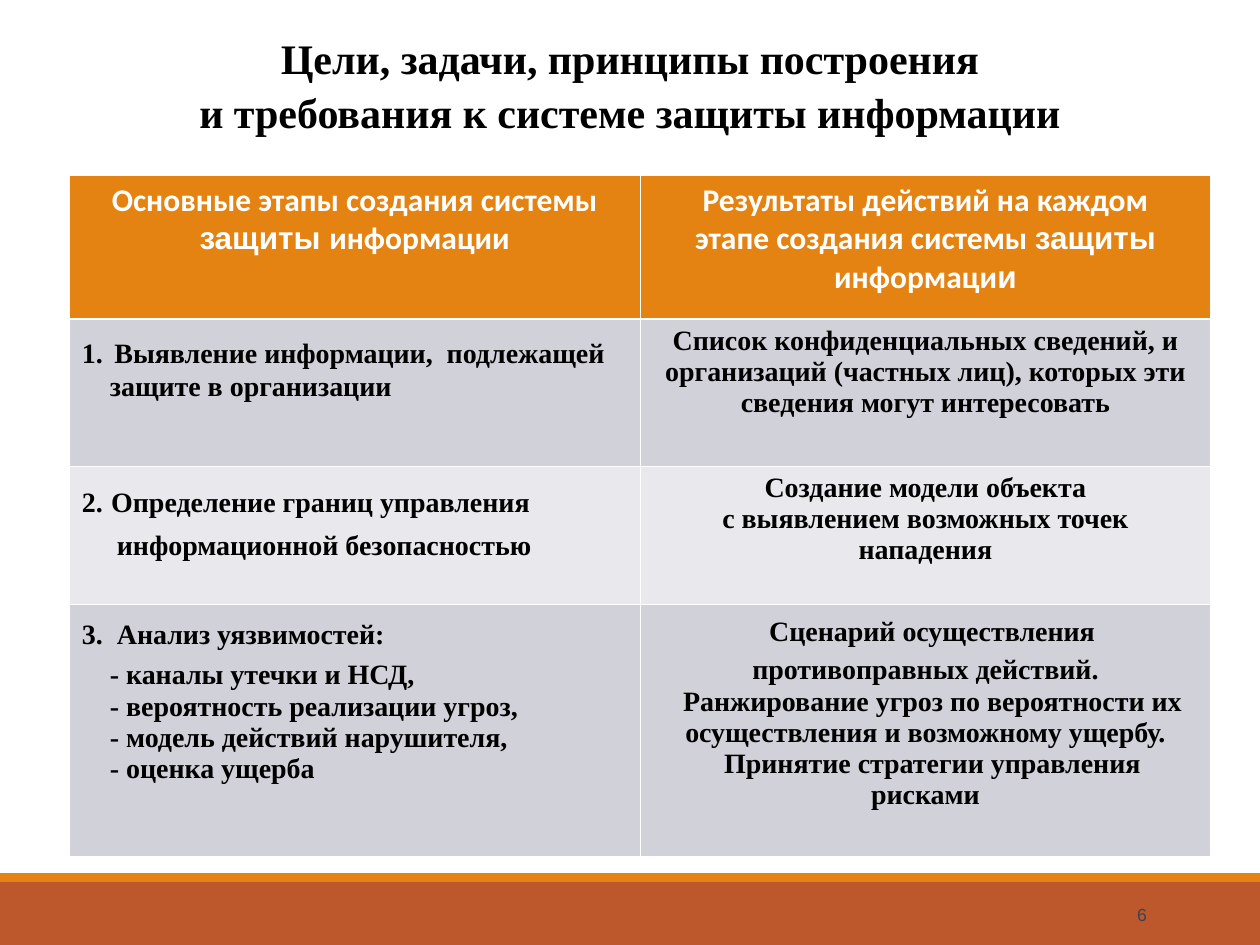
"""Build the slide on the stages of creating an information security system."""
from lxml.etree import SubElement
from pptx import Presentation
from pptx.dml.color import RGBColor
from pptx.enum.shapes import MSO_SHAPE
from pptx.enum.text import MSO_ANCHOR, PP_ALIGN
from pptx.oxml.ns import qn
from pptx.util import Inches, Pt

WIDTH, HEIGHT = Inches(10), Inches(7.5)

ORANGE = RGBColor(0xE4, 0x83, 0x12)
RUST = RGBColor(0xBD, 0x58, 0x2C)
GREY = RGBColor(0xD1, 0xD1, 0xDA)
PALE = RGBColor(0xE9, 0xE9, 0xED)
SLATE = RGBColor(0x3F, 0x40, 0x52)
WHITE = RGBColor(0xFF, 0xFF, 0xFF)
BLACK = RGBColor(0, 0, 0)

TITLE = dict(name="Times New Roman", size=Pt(24), bold=True, color=BLACK)
HEAD = dict(name="Calibri", size=Pt(18), bold=True, color=WHITE)
HEAD_ALT = HEAD | dict(name="Arial")
BODY = TITLE | dict(size=Pt(16))
NUMBER = dict(name="Arial", size=Pt(10), bold=False, color=SLATE)
GAP_ARIAL = TITLE | dict(name="Arial", bold=False)
GAP_24 = GAP_ARIAL | dict(name="Vollkorn")
GAP_20 = GAP_24 | dict(size=Pt(20))
GAP_18 = GAP_24 | dict(size=Pt(18))

CENTER = dict(alignment=PP_ALIGN.CENTER)
LEFT = dict(alignment=PP_ALIGN.LEFT)
RIGHT = dict(alignment=PP_ALIGN.RIGHT)

ROW_SHARES = (15.2, 15.6, 14.67, 26.67)
ROW_FILLS = (ORANGE, GREY, PALE, GREY)


def across(percent):
    return round(WIDTH * percent / 100)


def down(percent):
    return round(HEIGHT * percent / 100)


def place(left, top, width, height):
    return across(left), down(top), across(width), down(height)


def line(layout, *runs, indent=0, first=0):
    """Describe a paragraph: layout, indents in points, and (text, format) runs."""
    return layout, Pt(indent), Pt(first), runs


def write(frame, lines):
    for index, (layout, indent, first, runs) in enumerate(lines):
        paragraph = frame.paragraphs[0] if index == 0 else frame.add_paragraph()
        for attribute, value in layout.items():
            setattr(paragraph, attribute, value)
        properties = paragraph._p.get_or_add_pPr()
        properties.set("marL", str(indent))
        properties.set("indent", str(first))
        for text, style in runs:
            run = paragraph.add_run()
            run.text = text
            for attribute, value in style.items():
                if attribute == "color":
                    run.font.color.rgb = value
                else:
                    setattr(run.font, attribute, value)


def add_band(slide, box, color):
    band = slide.shapes.add_shape(MSO_SHAPE.RECTANGLE, *box)
    band.shadow.inherit = False
    band.fill.solid()
    band.fill.fore_color.rgb = color
    band.line.fill.background()


def add_text(slide, box, lines, **settings):
    frame = slide.shapes.add_textbox(*box).text_frame
    for attribute, value in (dict(word_wrap=True) | settings).items():
        setattr(frame, attribute, value)
    write(frame, lines)


def add_borders(cell, widths):
    properties = cell._tc.get_or_add_tcPr()
    for position, (side, width) in enumerate(widths.items()):
        border = SubElement(properties, qn(f"a:ln{side}"), w=str(Pt(width)))
        fill = SubElement(border, qn("a:solidFill"))
        SubElement(fill, qn("a:srgbClr"), val=str(WHITE))
        properties.insert(position, border)


def add_stages(slide, rows):
    box = place(5.5, 18.53, 90.6, sum(ROW_SHARES))
    table = slide.shapes.add_table(len(rows), 2, *box).table
    for index, (cells, share, color) in enumerate(zip(rows, ROW_SHARES, ROW_FILLS)):
        table.rows[index].height = down(share)
        widths = dict(L=0.45, R=0.45, T=1.47 if index == 1 else 0.45,
                      B=1.47 if index == 0 else 0.45)
        for cell, lines in zip(table.rows[index].cells, cells):
            cell.fill.solid()
            cell.fill.fore_color.rgb = color
            add_borders(cell, widths)
            write(cell.text_frame, lines)


def stage_rows():
    weaknesses = ("- каналы утечки и НСД,", "- вероятность реализации угроз,",
                  "- модель действий нарушителя,", "- оценка ущерба")
    return [
        ([line(CENTER, ("Основные этапы создания системы ", HEAD),
               ("защиты ", HEAD_ALT), ("информации", HEAD))],
         [line(CENTER, ("Результаты действий на каждом", HEAD)),
          line(CENTER, ("этапе создания системы ", HEAD), ("защиты ", HEAD_ALT),
               ("информаци", HEAD), ("и", HEAD_ALT))]),
        ([line(LEFT, ("1.", BODY), (" ", GAP_ARIAL),
               ("Выявление информации,  подлежащей", BODY)),
          line(LEFT, ("защите в организации", BODY), indent=16)],
         [line(CENTER, ("Список конфиденциальных сведений, и организаций "
                        "(частных лиц), которых эти сведения могут "
                        "интересовать", BODY))]),
        ([line(LEFT, ("2.", BODY), (" ", GAP_24),
               ("Определение границ управления", BODY)),
          line(LEFT, ("информационной безопасностью", BODY), indent=20)],
         [line(CENTER, ("Создание модели объекта", BODY)),
          line(CENTER, ("с выявлением возможных точек нападения", BODY))]),
        ([line(LEFT, ("3.", BODY), ("\t", GAP_20),
               ("Анализ уязвимостей:", BODY), indent=20, first=-20),
          *(line(LEFT, (weakness, BODY), indent=16) for weakness in weaknesses)],
         [line(CENTER, (" ", GAP_18),
               ("Сценарий осуществления противоправных действий.", BODY), first=4),
          line(CENTER, ("Ранжирование угроз по вероятности их осуществления "
                        "и возможному ущербу.", BODY), first=8),
          line(CENTER, ("Принятие стратегии управления рисками", BODY), first=8)]),
    ]


def main():
    deck = Presentation()
    deck.slide_width, deck.slide_height = WIDTH, HEIGHT
    slide = deck.slides.add_slide(deck.slide_layouts[6])
    add_band(slide, place(0, 93.33, 100, 6.67), RUST)
    add_band(slide, place(0, 92.4, 100, 0.93), ORANGE)
    heading = CENTER | dict(space_before=Pt(2))
    add_text(slide, place(5, 2.8, 90, 89.47),
             [line(heading, ("Цели, задачи, принципы построения", TITLE)),
              line(heading, ("и требования к системе защиты информации", TITLE))],
             margin_left=0, margin_right=0)
    add_text(slide, place(81.2, 94.13, 10.8, 5.33), [line(RIGHT, ("6", NUMBER))],
             vertical_anchor=MSO_ANCHOR.MIDDLE)
    add_stages(slide, stage_rows())
    deck.save("out.pptx")


main()
